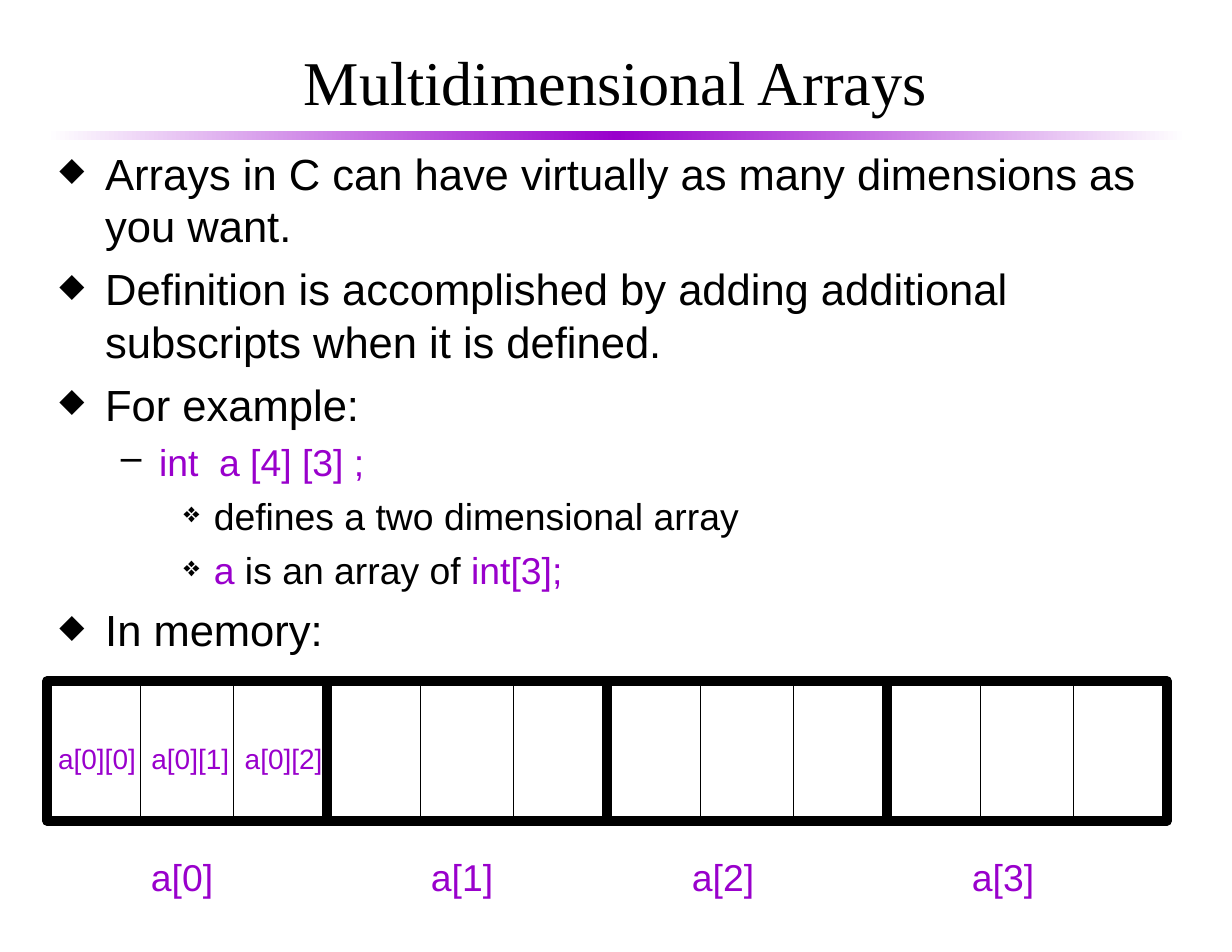
from copy import deepcopy
from lxml.etree import SubElement
from pptx import Presentation
from pptx.dml.color import RGBColor
from pptx.enum.shapes import MSO_CONNECTOR as Conn, MSO_SHAPE as Kind
from pptx.enum.text import MSO_ANCHOR as Anchor, PP_ALIGN as Align
from pptx.oxml.ns import qn
from pptx.util import Inches, Pt

BLACK, WHITE, PURPLE = "000000", "FFFFFF", "9900CC"
LEFT, TOP, WIDE, HIGH = 0.42, 6.08, 10, 1.25
ROWS, COLS = 4, 3
STEP = WIDE / ROWS
CELL = STEP / COLS

LEVELS = [
    (28, 7, 0.41, -0.41, "◆", 75),
    (24, 6, 0.89, -0.34, "–", 100),
    (24, 6, 1.38, -0.27, "❖", 75),
]
POINTS = [
    (0, [("Arrays in C can have virtually as many dimensions as you want.", BLACK)]),
    (0, [("Definition is accomplished by adding additional subscripts when it is defined.", BLACK)]),
    (0, [("For example:", BLACK)]),
    (1, [("int  a [4] [3] ;", PURPLE)]),
    (2, [("defines a two dimensional array", BLACK)]),
    (2, [("a", PURPLE), (" is an array of ", BLACK), ("int[3];", PURPLE)]),
    (0, [("In memory:", BLACK)]),
]


def rgb(code):
    return RGBColor.from_string(code)


def add_frame(slide, x, y, w, h, pad=(0.1, 0.05)):
    box = slide.shapes.add_textbox(Inches(x), Inches(y), Inches(w), Inches(h))
    frame = box.text_frame
    frame.word_wrap = True
    frame.margin_left = frame.margin_right = Inches(pad[0])
    frame.margin_top = frame.margin_bottom = Inches(pad[1])
    return frame


def set_font(para, size, name="Arial"):
    para.font.size = Pt(size)
    para.font.name = name


def add_title(slide, text):
    frame = add_frame(slide, 0.58, 0.28, 9.83, 0.88, (0.11, 0.06))
    frame.vertical_anchor = Anchor.MIDDLE
    para = frame.paragraphs[0]
    para.text = text
    para.alignment = Align.CENTER
    set_font(para, 40, "Times New Roman")
    para.font.color.rgb = rgb(BLACK)


def add_band(slide):
    band = slide.shapes.add_shape(
        Kind.RECTANGLE, Inches(LEFT), Inches(1.17), Inches(10.17), Inches(0.08))
    band.shadow.inherit = False
    band.line.fill.background()
    band.fill.gradient()
    band.fill.gradient_angle = 0
    stops = band._element.spPr.find(".//" + qn("a:gsLst"))
    stops.append(deepcopy(stops[0]))
    for stop, place, code in zip(band.fill.gradient_stops, (0, 0.5, 1), (WHITE, PURPLE, WHITE)):
        stop.position = place
        stop.color.rgb = rgb(code)


def set_bullet(para, left, hang, mark, scale):
    props = para._p.get_or_add_pPr()
    props.set("marL", str(Inches(left)))
    props.set("indent", str(Inches(hang)))
    tint = SubElement(props, qn("a:buClr"))
    SubElement(tint, qn("a:srgbClr"), val=BLACK)
    SubElement(props, qn("a:buSzPct"), val=str(scale * 1000))
    SubElement(props, qn("a:buChar"), char=mark)


def add_points(slide):
    frame = add_frame(slide, LEFT, 1.25, 10.17, 6.83, (0.11, 0.06))
    for i, (level, runs) in enumerate(POINTS):
        para = frame.add_paragraph() if i else frame.paragraphs[0]
        size, gap, left, hang, mark, scale = LEVELS[level]
        para.level = level
        para.space_before = Pt(gap)
        set_bullet(para, left, hang, mark, scale)
        set_font(para, size)
        for text, code in runs:
            run = para.add_run()
            run.text = text
            run.font.color.rgb = rgb(code)


def add_rule(slide, x, width):
    rule = slide.shapes.add_connector(
        Conn.STRAIGHT, Inches(x), Inches(TOP), Inches(x), Inches(TOP + HIGH))
    rule.line.color.rgb = rgb(BLACK)
    rule.line.width = Pt(width)
    SubElement(rule._element.spPr, qn("a:effectLst"))


def add_grid(slide):
    grid = slide.shapes.add_shape(
        Kind.RECTANGLE, Inches(LEFT), Inches(TOP), Inches(WIDE), Inches(HIGH))
    grid.shadow.inherit = False
    grid.fill.background()
    grid.line.color.rgb = rgb(BLACK)
    grid.line.width = Pt(6)
    for i in range(1, ROWS * COLS):
        add_rule(slide, LEFT + i * CELL, 1 if i % COLS else 6)


def add_label(slide, text, x, y, w, h, size, gap):
    para = add_frame(slide, x, y, w, h).paragraphs[0]
    para.text = text
    para.space_before = Pt(gap)
    set_font(para, size)
    para.font.color.rgb = rgb(PURPLE)


def main():
    deck = Presentation()
    deck.slide_width, deck.slide_height = Inches(11), Inches(8.5)
    slide = deck.slides.add_slide(deck.slide_layouts[6])
    add_band(slide)
    add_title(slide, "Multidimensional Arrays")
    add_points(slide)
    add_grid(slide)
    for row, x in enumerate((1.25, 3.75, 6.08, 8.58)):
        add_label(slide, f"a[{row}]", x, 7.58, 1, 0.5, 24, 15)
    for col, w in enumerate((1.12, 1.12, 0.92)):
        add_label(slide, f"a[0][{col}]", LEFT + col * CELL, 6.57, w, 0.4, 18, 11.2)
    deck.save("out.pptx")


if __name__ == "__main__":
    main()
